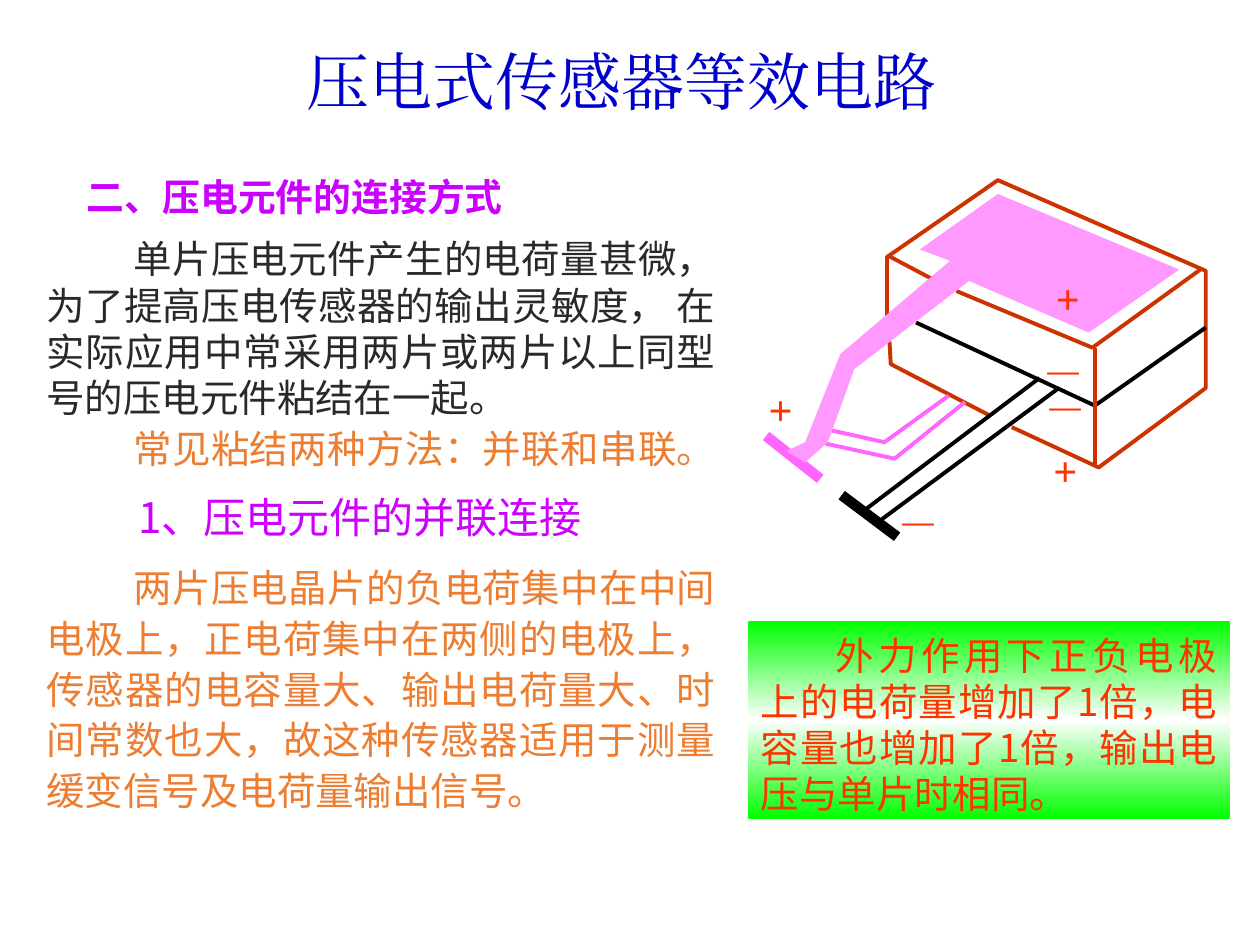
from copy import deepcopy

from lxml import etree
from pptx import Presentation
from pptx import util as u
from pptx.dml.color import RGBColor
from pptx.enum import shapes, text
from pptx.oxml.ns import qn

BLUE = RGBColor(0x00, 0x00, 0xCC)
PURPLE = RGBColor(0xCC, 0x00, 0xFF)
DARK = RGBColor(0x29, 0x29, 0x29)
ORANGE = RGBColor(0xED, 0x7D, 0x31)
RED = RGBColor(0xFF, 0x33, 0x00)
BRICK = RGBColor(0xCC, 0x33, 0x00)
BLACK = RGBColor(0x00, 0x00, 0x00)
PINK = RGBColor(0xFF, 0x66, 0xFF)
LIGHT_PINK = RGBColor(0xFF, 0x99, 0xFF)
GREEN = RGBColor(0x00, 0xFF, 0x00)
WHITE = RGBColor(0xFF, 0xFF, 0xFF)
SANS, SERIF = "Noto Sans CJK SC", "Times New Roman"

prs = Presentation()
prs.slide_width, prs.slide_height = u.Inches(10), u.Inches(7.5)
COL, ROW = prs.slide_width / 100, prs.slide_height / 75
s = prs.slides.add_slide(prs.slide_layouts[5])


def grid(*values):
    return [round(v * (ROW if i % 2 else COL)) for i, v in enumerate(values)]


def write(p, words, size, color, font=SANS, align=text.PP_ALIGN.JUSTIFY, indent=0, bold=False):
    r = p.add_run()
    r.text = words
    p.alignment = align
    if indent:
        p._p.get_or_add_pPr().set("indent", str(round(indent * COL)))
    r.font.size, r.font.bold, r.font.name = u.Pt(size), bold, font
    r.font.color.rgb = color
    etree.SubElement(r._r.get_or_add_rPr(), qn("a:ea")).set("typeface", font)


sp = s.shapes.title
sp.left, sp.top, sp.width, sp.height = grid(5.9, 13.9, 89.8, 3.9)
tf = sp.text_frame
tf.auto_size = text.MSO_AUTO_SIZE.NONE
tf.vertical_anchor = text.MSO_ANCHOR.MIDDLE
p = tf.paragraphs[0]
p.line_spacing = 0.85
write(p, "二、压电元件的连接方式", 21.6, PURPLE, align=text.PP_ALIGN.LEFT, bold=True)

panel = s.shapes.add_shape(shapes.MSO_SHAPE.RECTANGLE, *grid(59.4, 49.3, 38.2, 15.7))
panel.shadow.inherit = False
panel.line.fill.background()
panel.fill.gradient()
panel.fill.gradient_angle = 270
stops = panel._element.spPr.find(qn("a:gradFill")).find(qn("a:gsLst"))
stops.insert(1, deepcopy(stops[0]))
for stop, position, color in zip(panel.fill.gradient_stops, (0, 0.5, 1), (GREEN, WHITE, GREEN)):
    stop.position = position
    stop.color.rgb = color

J, C = text.PP_ALIGN.JUSTIFY, text.PP_ALIGN.CENTER
blocks = [
    ((9.8, 2.5, 80.3, 7), 36, SERIF, C, 0, 43, [("压电式传感器等效电路 ", BLUE)]),
    ((2.7, 17.8, 55.1, 19.9), 22, SANS, J, 6.9, 26.3, [
        ("单片压电元件产生的电荷量甚微，为了提高压电传感器的输出灵敏度， 在实际应用中常采用两片或两片以上同型号的压电元件粘结在一起。", DARK),
        ("常见粘结两种方法：并联和串联。 ", ORANGE)]),
    ((3.1, 37.5, 52.8, 5.6), 24, SANS, J, 6.9, 33, [("1、压电元件的并联连接", PURPLE)]),
    ((2.7, 43.5, 55.1, 21.1), 22, SANS, J, 6.9, 29, [
        ("两片压电晶片的负电荷集中在中间电极上，正电荷集中在两侧的电极上，传感器的电容量大、输出电荷量大、时间常数也大，故这种传感器适用于测量缓变信号及电荷量输出信号。", ORANGE)]),
    (None, 22, SANS, J, 5.9, 26.3, [
        ("外力作用下正负电极上的电荷量增加了1倍，电容量也增加了1倍，输出电压与单片时相同。", RED)]),
]
for box, size, font, align, indent, pitch, paragraphs in blocks:
    sp = s.shapes.add_textbox(*grid(*box)) if box else panel
    tf = sp.text_frame
    tf.word_wrap = True
    tf.vertical_anchor = text.MSO_ANCHOR.TOP
    tf.margin_top = u.Inches(0.09)
    for i, (words, color) in enumerate(paragraphs):
        p = tf.add_paragraph() if i else tf.paragraphs[0]
        p.line_spacing = u.Pt(pitch)
        if i:
            p.space_before = u.Pt(3.3)
        write(p, words, size, color, font, align, indent)

strokes = [
    (PINK, 6, [(60.8, 34.6), (65.1, 38)]),
    (BRICK, 2.25, [(70.4, 25.7), (70.4, 20.4), (79.2, 14.3), (95.7, 21.5),
                   (95.7, 30.8), (87.2, 37.1), (80.3, 33.9)]),
    (BLACK, 2.25, [(95.7, 26), (86.9, 32.2), (72.7, 25.6)]),
    (BRICK, 2.25, [(70.6, 27.1), (70.7, 28.9), (78.6, 33)]),
    (PINK, 2.25, [(65.7, 34.1), (70.2, 35.1), (75.3, 31.4)]),
    (PINK, 2.25, [(65.5, 35.2), (71, 36.4), (76.6, 31.9)]),
    (BLACK, 6, [(66.8, 39.3), (71.2, 42.6)]),
    (BLACK, 2.25, [(69.6, 41.5), (83.9, 30.9)]),
    (BLACK, 2.25, [(68.6, 40.5), (82.5, 30)]),
    (BRICK, 2.25, [(95.4, 21.3), (86.7, 27.6), (75.9, 23.1)]),
    (BRICK, 2.25, [(86.9, 27.6), (86.9, 36.8)]),
    (BRICK, 2.25, [(70.5, 20.3), (73.9, 22.1)]),
]
for color, width, points in strokes:
    start, *rest = [grid(*point) for point in points]
    if len(rest) == 1:
        sp = s.shapes.add_connector(shapes.MSO_CONNECTOR.STRAIGHT, *start, *rest[0])
        etree.SubElement(sp._element.spPr, qn("a:effectLst"))
    else:
        builder = s.shapes.build_freeform(*start)
        builder.add_line_segments(rest, close=False)
        sp = builder.convert_to_shape()
        sp.shadow.inherit = False
        sp.fill.background()
    sp.line.color.rgb = color
    sp.line.width = u.Pt(width)

electrode = [(62.4, 35.8), (63.9, 35.1), (66.7, 28.1), (75.4, 20.7), (73, 19.8), (79.2, 15.4),
             (93.6, 21.4), (86.4, 26.4), (76.9, 22.3), (67.8, 29.3), (65.7, 35.1), (63.9, 36.7)]
start, *rest = [grid(*point) for point in electrode]
builder = s.shapes.build_freeform(*start)
builder.add_line_segments(rest, close=True)
sp = builder.convert_to_shape()
sp.shadow.inherit = False
sp.fill.solid()
sp.fill.fore_color.rgb = LIGHT_PINK
sp.line.fill.background()

charges = [
    ("+", (83.6, 35.3, 4.2, 4.1)),
    ("+", (61, 30.4, 3.2, 3.3)),
    ("－", (71.2, 39.6, 6, 3)),
    ("－", (82.7, 27.6, 7.1, 3.4)),
    ("－", (82.9, 30.4, 9.4, 8.4)),
    ("+", (83.8, 21.6, 5.1, 5.7)),
]
for sign, box in charges:
    tf = s.shapes.add_textbox(*grid(*box)).text_frame
    tf.word_wrap = True
    tf.margin_left = tf.margin_right = tf.margin_top = tf.margin_bottom = 0
    write(tf.paragraphs[0], sign, 24, RED, SERIF, bold=True)

prs.save("out.pptx")
